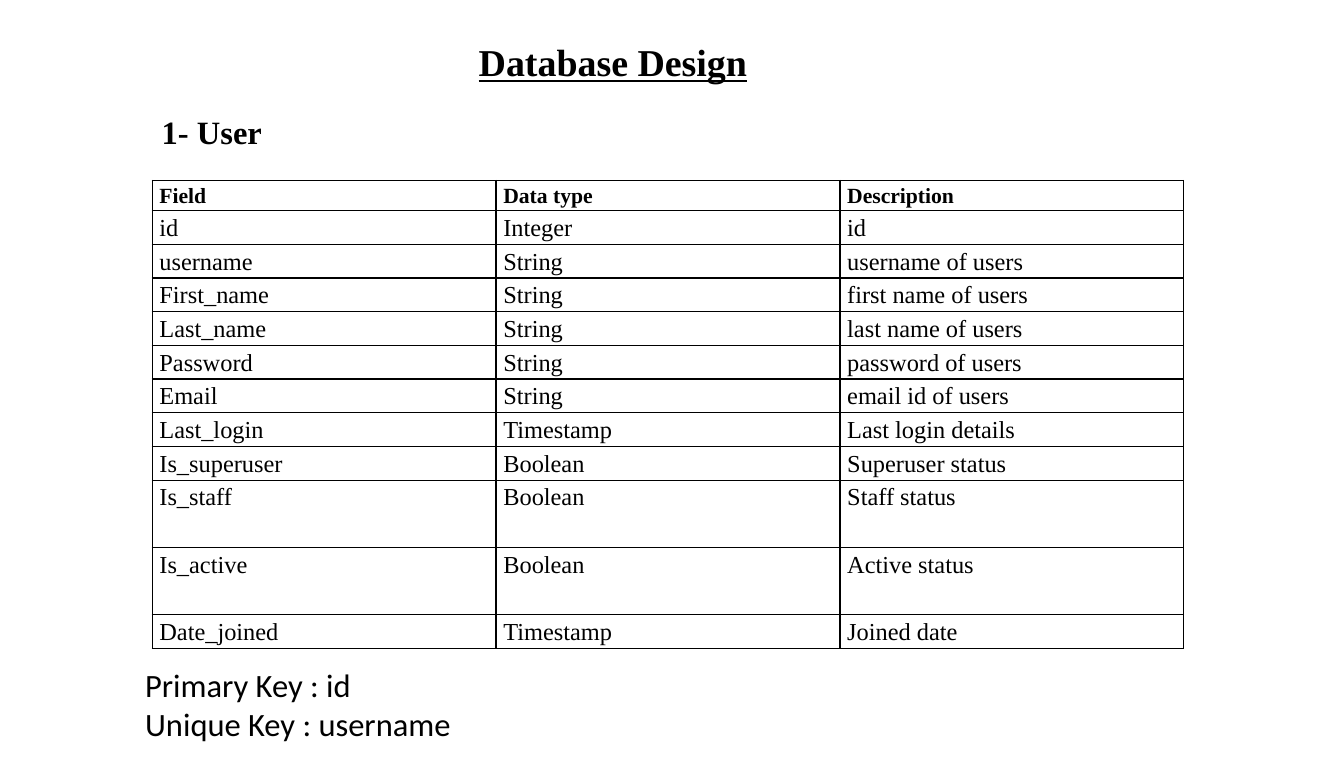
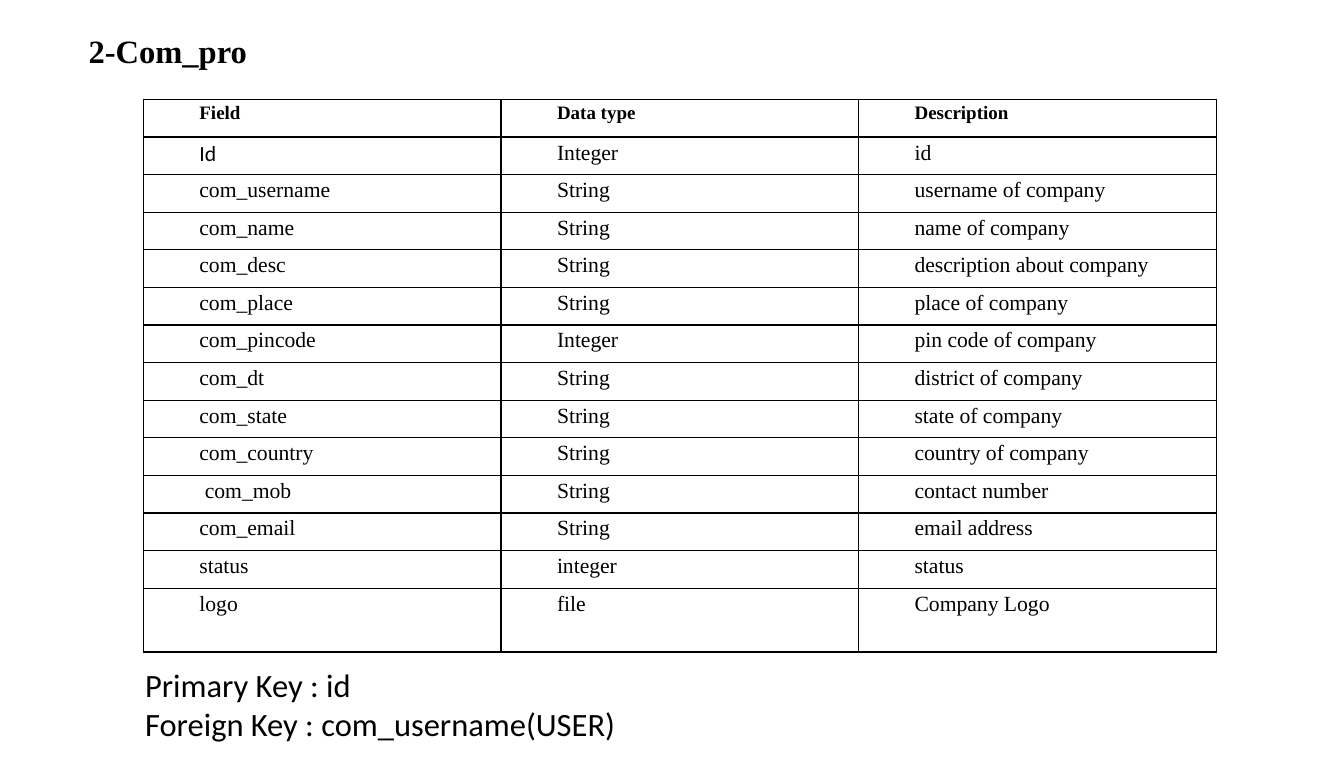
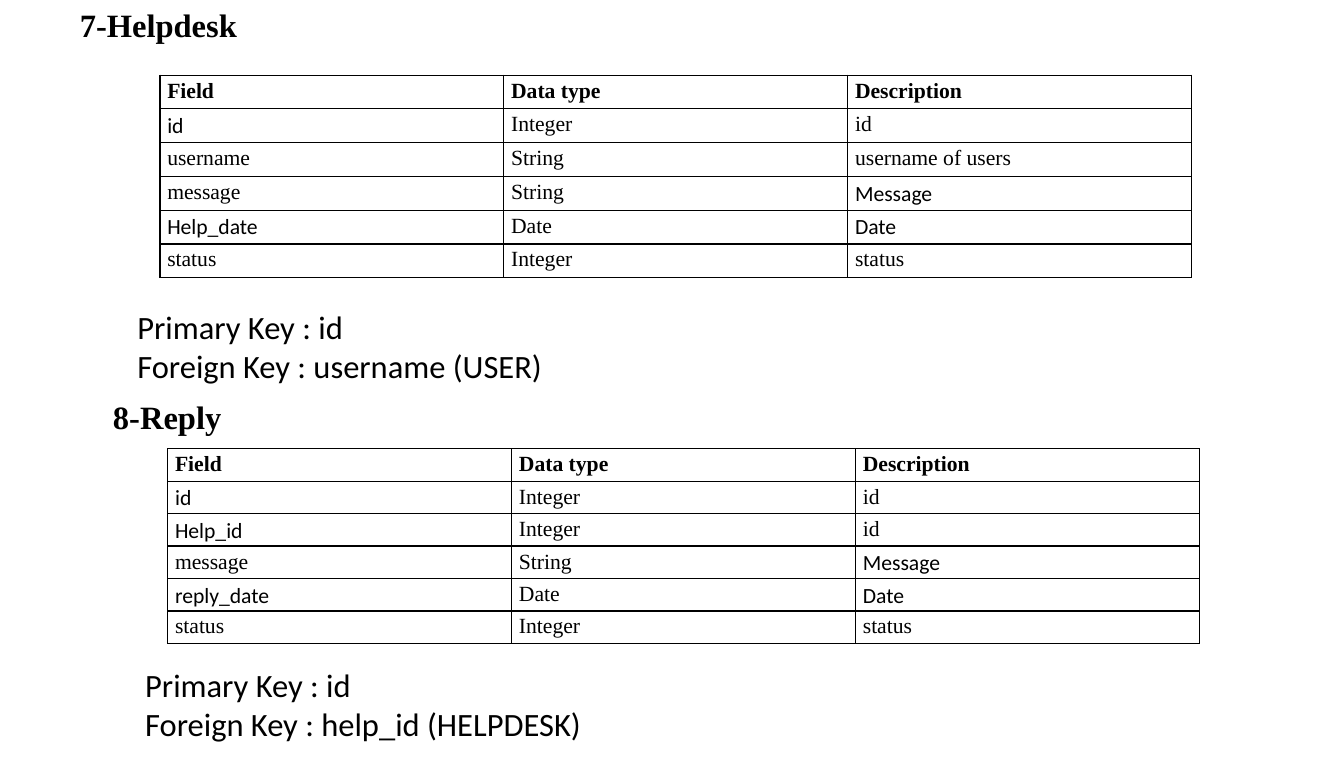
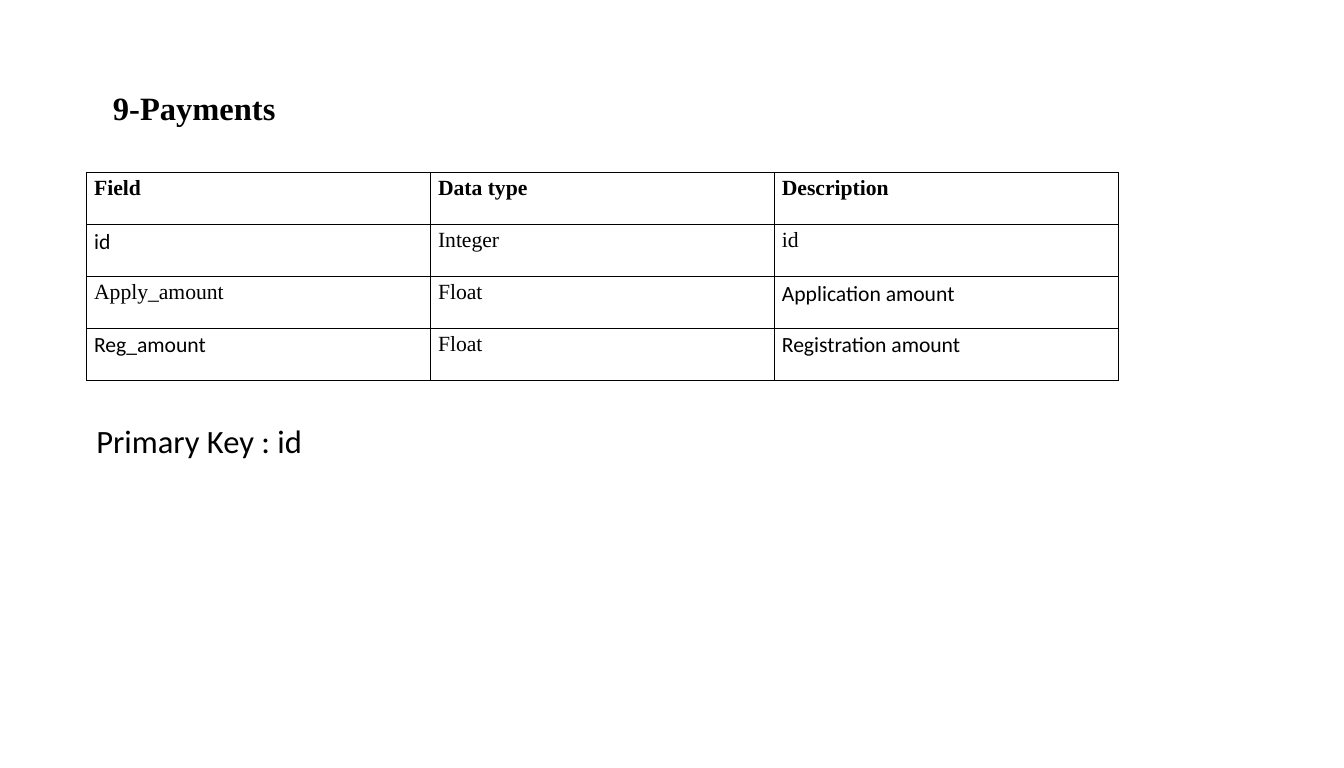
import pptx
import pptx.dml.color
import pptx.enum.text
import pptx.oxml
import pptx.oxml.ns
import pptx.util

Inches, Pt = pptx.util.Inches, pptx.util.Pt

# Slide size in exact fractions of an inch
SLIDE_WIDTH, SLIDE_HEIGHT = Inches(441 / 32), Inches(63 / 8)

SERIF, SANS = "Times New Roman", "Calibri"
INK = "000000"
HEADER = ("Field", "Data type", "Description")
HEADING = dict(size=24, font=SERIF, bold=True)
TITLE = dict(size=28, font=SERIF, bold=True, underline=True)
KEYS = dict(size=24, font=SANS)

# Content: text boxes are (left, top, width, height); tables are (left, top, width, height).
# "weights" gives relative heights of rows that differ from 1;
# "sans" lists the (row, column) cells set in the sans font.
SLIDES = [
    {
        "texts": [
            (["Database Design"], (4.81, 0.35, 2.98, 0.57), TITLE),
            (["1- User"], (1.56, 1.1, 1.24, 0.5), HEADING),
            (["Primary Key : id", "Unique Key : username"], (1.39, 6.77, 3.37, 0.91), KEYS),
        ],
        "tables": [{
            "box": (1.56, 1.85, 10.58, 4.8),
            "body_size": 18,
            "weights": {0: 0.9, 9: 2, 10: 2},
            "fields": [
                ("id", "Integer", "id"),
                ("username", "String", "username of users"),
                ("First_name", "String", "first name of users"),
                ("Last_name", "String", "last name of users"),
                ("Password", "String", "password of users"),
                ("Email", "String", "email id of users"),
                ("Last_login", "Timestamp", "Last login details"),
                ("Is_superuser", "Boolean", "Superuser status"),
                ("Is_staff", "Boolean", "Staff status"),
                ("Is_active", "Boolean", "Active status"),
                ("Date_joined", "Timestamp", "Joined date"),
            ],
        }],
    },
    {
        "texts": [
            (["2-Com_pro"], (0.81, 0.27, 1.84, 0.5), HEADING),
            (["Primary Key : id", "Foreign Key : com_username(USER)"],
             (1.39, 6.77, 5.07, 0.91), KEYS),
        ],
        "tables": [{
            "box": (1.47, 1.02, 11, 5.67),
            "header_size": 14,
            "indent": 0.5,
            "weights": {13: 1.7},
            "sans": {(1, 0)},
            "fields": [
                ("Id", "Integer", "id"),
                ("com_username", "String", "username of company"),
                ("com_name", "String", "name of company"),
                ("com_desc", "String", "description about company"),
                ("com_place", "String", "place of company"),
                ("com_pincode", "Integer", "pin code of company"),
                ("com_dt", "String", "district of company"),
                ("com_state", "String", "state of company"),
                ("com_country", "String", "country of company"),
                (" com_mob", "String", "contact number"),
                ("com_email", "String", "email address"),
                ("status", "integer", "status"),
                ("logo", "file", "Company Logo"),
            ],
        }],
    },
    {
        "texts": [
            (["7-Helpdesk"], (0.72, 0, 1.83, 0.5), HEADING),
            (["8-Reply"], (1.06, 4.02, 1.32, 0.5), HEADING),
            (["Primary Key : id", "Foreign Key : username (USER)"],
             (1.31, 3.1, 4.39, 0.91), KEYS),
            (["Primary Key : id", "Foreign Key : help_id (HELPDESK)"],
             (1.39, 6.77, 4.71, 0.91), KEYS),
        ],
        "tables": [
            {
                "box": (1.64, 0.77, 10.58, 2.08),
                "sans": {(1, 0), (3, 2), (4, 0), (4, 2)},
                "fields": [
                    ("id", "Integer", "id"),
                    ("username", "String", "username of users"),
                    ("message", "String", "Message"),
                    ("Help_date", "Date", "Date"),
                    ("status", "Integer", "status"),
                ],
            },
            {
                "box": (1.72, 4.6, 10.58, 2),
                "sans": {(1, 0), (2, 0), (3, 2), (4, 0), (4, 2)},
                "fields": [
                    ("id", "Integer", "id"),
                    ("Help_id", "Integer", "id"),
                    ("message", "String", "Message"),
                    ("reply_date", "Date", "Date"),
                    ("status", "Integer", "status"),
                ],
            },
        ],
    },
    {
        "texts": [
            (["9-Payments"], (1.06, 0.85, 1.88, 0.5), HEADING),
            (["Primary Key : id"], (0.89, 4.27, 2.33, 0.5), KEYS),
        ],
        "tables": [{
            "box": (0.89, 1.77, 10.58, 2.13),
            "sans": {(1, 0), (2, 2), (3, 0), (3, 2)},
            "fields": [
                ("id", "Integer", "id"),
                ("Apply_amount", "Float", "Application amount"),
                ("Reg_amount", "Float", "Registration amount"),
            ],
        }],
    },
]


def color(value):
    return pptx.dml.color.RGBColor.from_string(value)


def style(paragraph, size, font, bold=False, underline=False):
    paragraph.font.size = Pt(size)
    paragraph.font.name = font
    paragraph.font.bold = bold
    paragraph.font.underline = underline
    paragraph.font.color.rgb = color(INK)


def add_text(slide, lines, box, look):
    frame = slide.shapes.add_textbox(*map(Inches, box)).text_frame
    frame.word_wrap = False
    frame.auto_size = pptx.enum.text.MSO_AUTO_SIZE.SHAPE_TO_FIT_TEXT
    frame.text = "\n".join(lines)
    for paragraph in frame.paragraphs:
        style(paragraph, **look)


def add_borders(cell):
    properties = cell._tc.get_or_add_tcPr()
    for side in ("lnL", "lnR", "lnT", "lnB"):
        properties.append(pptx.oxml.parse_xml(
            f'<a:{side} {pptx.oxml.ns.nsdecls("a")} w="{Pt(1)}"><a:solidFill>'
            f'<a:srgbClr val="{INK}"/></a:solidFill></a:{side}>'))


def fill_cell(cell, text, indent, look):
    cell.margin_left = cell.margin_right = Pt(5.4)
    cell.margin_top = cell.margin_bottom = 0
    add_borders(cell)
    cell.fill.background()
    cell.text = text
    paragraph = cell.text_frame.paragraphs[0]
    paragraph.line_spacing = 1.15
    paragraph._p.get_or_add_pPr().set("marL", str(Inches(indent)))
    style(paragraph, **look)


def add_field_table(slide, box, fields, header_size=16, body_size=16, indent=0,
                    weights=None, sans=()):
    rows = [HEADER] + fields
    table = slide.shapes.add_table(len(rows), len(HEADER), *map(Inches, box)).table
    table.first_row = table.horz_banding = False

    # Share the height among the rows by weight
    shares = [(weights or {}).get(r, 1) for r in range(len(rows))]
    for row, share in zip(table.rows, shares):
        row.height = Inches(box[3] * share / sum(shares))

    for r, texts in enumerate(rows):
        for c, text in enumerate(texts):
            look = dict(size=body_size if r else header_size,
                        font=SANS if (r, c) in sans else SERIF, bold=r == 0)
            fill_cell(table.cell(r, c), text, indent, look)


def main():
    deck = pptx.Presentation()
    deck.slide_width, deck.slide_height = SLIDE_WIDTH, SLIDE_HEIGHT
    for content in SLIDES:
        slide = deck.slides.add_slide(deck.slide_layouts[6])
        for table in content["tables"]:
            add_field_table(slide, **table)
        for text in content["texts"]:
            add_text(slide, *text)
    deck.save("out.pptx")


if __name__ == "__main__":
    main()
